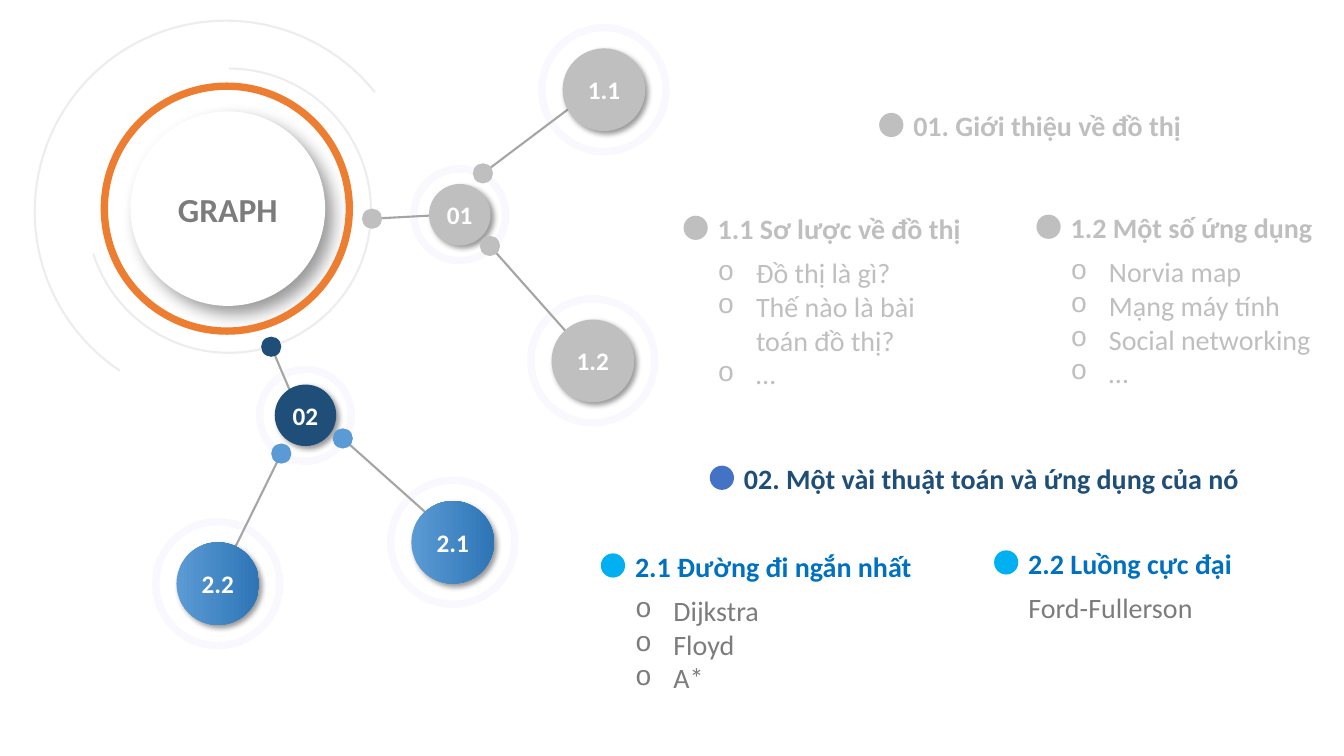
from lxml import etree
from pptx import Presentation
from pptx import util as u
from pptx.dml.color import RGBColor
from pptx.enum import shapes, text
from pptx.oxml import ns

COLORS = {
    "white": "FFFFFF", "muted": "BFBFBF", "link": "A5A5A5", "arc": "EDEDED",
    "halo": "F8F8FE", "orange": "ED7D31", "body": "7C7C7C", "navy": "1F4E79",
    "sky": "5B9BD5", "steel": "2E75B6", "indigo": "4472C4", "blue": "0070C0",
    "cyan": "00B0F0",
}
FONT = "Calibri"

# label, centre, disc size, ring size, fill colours, link end, joint centre
NODES = [
    ("01", (4.22, 1.93), 0.61, 0.91, ["muted"], (4.28, 1.92), (3.35, 1.97)),
    ("1.1", (5.65, 0.69), 0.82, 1.23, ["muted"], (5.58, 0.67), (4.45, 1.52)),
    ("1.2", (5.54, 3.38), 0.82, 1.23, ["muted"], (5.47, 3.31), (4.52, 2.24)),
    ("02", (2.69, 3.92), 0.61, 0.91, ["navy"], (2.64, 3.92), (2.35, 3.24)),
    ("2.1", (4.15, 5.18), 0.82, 1.23, ["sky", "steel"], (4.18, 5.15), (3.06, 4.15)),
    ("2.2", (1.82, 5.59), 0.82, 1.23, ["sky", "steel"], (1.82, 5.58), (2.45, 4.3)),
]

# box (left, top, width), heading, heading colour, dot colour, items width, items, items colour, bulleted
TOPICS = [
    ((8.96, 1.03, 2.88), "01. Giới thiệu về đồ thị", "muted", "muted", 0, [], "muted", False),
    ((7.28, 4.53, 5.15), "02. Một vài thuật toán và ứng dụng của nó", "navy", "indigo", 0, [], "body", False),
    ((10.52, 2.04, 2.62), "1.2 Một số ứng dụng", "muted", "muted", 2.62,
     ["Norvia map", "Mạng máy tính", "Social networking", "…"], "muted", True),
    ((7.02, 2.05, 2.63), "1.1 Sơ lược về đồ thị", "muted", "muted", 2.32,
     ["Đồ thị là gì?", "Thế nào là bài toán đồ thị?", "…"], "muted", True),
    ((6.2, 5.4, 2.97), "2.1 Đường đi ngắn nhất", "blue", "cyan", 3.08,
     ["Dijkstra", "Floyd", "A*"], "body", True),
    ((10.1, 5.37, 2.24), "2.2 Luồng cực đại", "blue", "cyan", 2.71, ["Ford-Fullerson"], "body", False),
]


def rgb(name):
    """Return the named colour."""
    return RGBColor.from_string(COLORS[name])


def add_run(paragraph, words, size, color, bold=False):
    """Add one styled run."""
    run = paragraph.add_run()
    run.text = words
    run.font.name, run.font.size, run.font.bold = FONT, u.Pt(size), bold
    run.font.color.rgb = rgb(color)


def add_round(slide, center, size, fills=(), line=None, line_width=5.25, kind=shapes.MSO_SHAPE.OVAL):
    """Add a round shape about its centre, with a solid, gradient or empty fill."""
    left, top = (value - size / 2 for value in center)
    shape = slide.shapes.add_shape(kind, u.Inches(left), u.Inches(top), u.Inches(size), u.Inches(size))
    shape.shadow.inherit = False
    if len(fills) == 2:
        shape.fill.gradient()
        shape.fill.gradient_angle = 0
        for stop, color in zip(shape.fill.gradient_stops, fills):
            stop.color.rgb = rgb(color)
    elif fills:
        shape.fill.solid()
        shape.fill.fore_color.rgb = rgb(fills[0])
    else:
        shape.fill.background()
    if line:
        shape.line.color.rgb = rgb(line)
        shape.line.width = u.Pt(line_width)
    else:
        shape.line.fill.background()
    return shape


def add_disc(slide, center, size, fills, label, font_size, color, blur, distance):
    """Add a labelled disc that casts a shadow to the lower right."""
    disc = add_round(slide, center, size, fills)
    effects = disc._element.spPr.find(ns.qn("a:effectLst"))
    shadow = etree.SubElement(effects, ns.qn("a:outerShdw"), blurRad=str(u.Pt(blur)),
                              dist=str(u.Pt(distance)), dir="2700000", algn="tl", rotWithShape="0")
    tone = etree.SubElement(shadow, ns.qn("a:srgbClr"), val="000000")
    etree.SubElement(tone, ns.qn("a:alpha"), val="40000")
    frame = disc.text_frame
    frame.margin_left = frame.margin_right = frame.margin_top = frame.margin_bottom = 0
    frame.vertical_anchor = text.MSO_ANCHOR.MIDDLE
    frame.paragraphs[0].alignment = text.PP_ALIGN.CENTER
    add_run(frame.paragraphs[0], label, font_size, color, True)


def add_link(slide, start, end):
    """Add a straight grey link between two points."""
    link = slide.shapes.add_connector(shapes.MSO_CONNECTOR.STRAIGHT, *map(u.Inches, start + end))
    link.line.color.rgb = rgb("link")
    link.line.width = u.Pt(1.5)
    etree.SubElement(link._element.spPr, ns.qn("a:effectLst"))


def add_diagram(slide, left, top):
    """Draw the hub, its arcs and the linked nodes from the given corner."""
    def place(point):
        """Shift a point into the diagram box."""
        return left + point[0], top + point[1]

    for _, center, _, ring, *_ in NODES:
        add_round(slide, place(center), ring, line="halo")
    for *_, end, joint in NODES:
        add_link(slide, place(joint), place(end))
    for label, center, size, _, fills, *_ in NODES:
        add_disc(slide, place(center), size, fills, label, 18, "white", 4, 3)
    for center, size, angles in [((1.93, 1.89), 2.82, (270, 162.4)), ((1.9, 1.9), 3.79, (123.7, 321.3))]:
        arc = add_round(slide, place(center), size, line="arc", line_width=1.5, kind=shapes.MSO_SHAPE.ARC)
        for index, degrees in enumerate(angles):
            arc.adjustments[index] = degrees * 0.6
    add_disc(slide, place((1.92, 1.87)), 1.93, ["white"], "GRAPH", 24, "body", 12, 8)
    add_round(slide, place((1.91, 1.87)), 2.43, line="orange")
    for *_, fills, _, joint in NODES:
        add_round(slide, place(joint), 0.2, fills[:1])


def add_text(slide, left, top, width, height, wrap):
    """Add a text box and return its frame."""
    frame = slide.shapes.add_textbox(*map(u.Inches, (left, top, width, height))).text_frame
    frame.word_wrap = wrap
    frame.auto_size = text.MSO_AUTO_SIZE.SHAPE_TO_FIT_TEXT
    return frame


def add_bullet(paragraph):
    """Give a paragraph a hanging round bullet."""
    properties = paragraph._p.get_or_add_pPr()
    properties.set("marL", str(u.Inches(0.38)))
    properties.set("indent", str(-u.Inches(0.38)))
    etree.SubElement(properties, ns.qn("a:buFont"), typeface="Courier New")
    etree.SubElement(properties, ns.qn("a:buChar"), char="o")


def add_topic(slide, box, heading, color, dot_color, items_width, items, items_color, bulleted):
    """Draw a heading with its dot and the items below it."""
    left, top, width = box
    add_round(slide, (left - 0.12, top + 0.21), 0.24, [dot_color])
    add_run(add_text(slide, left, top, width, 0.44, False).paragraphs[0], heading, 20, color, True)
    if not items:
        return
    frame = add_text(slide, left, top + 0.44, items_width, 0.1 + 0.34 * len(items), True)
    for index, item in enumerate(items):
        paragraph = frame.add_paragraph() if index else frame.paragraphs[0]
        if bulleted:
            add_bullet(paragraph)
        add_run(paragraph, item, 20, items_color)


def main():
    """Build and save the slide."""
    presentation = Presentation()
    presentation.slide_width, presentation.slide_height = u.Inches(13.33), u.Inches(7.5)
    slide = presentation.slides.add_slide(presentation.slide_layouts[6])
    for topic in TOPICS:
        add_topic(slide, *topic)
    add_diagram(slide, 0.34, 0.2)
    presentation.save("out.pptx")


if __name__ == "__main__":
    main()
